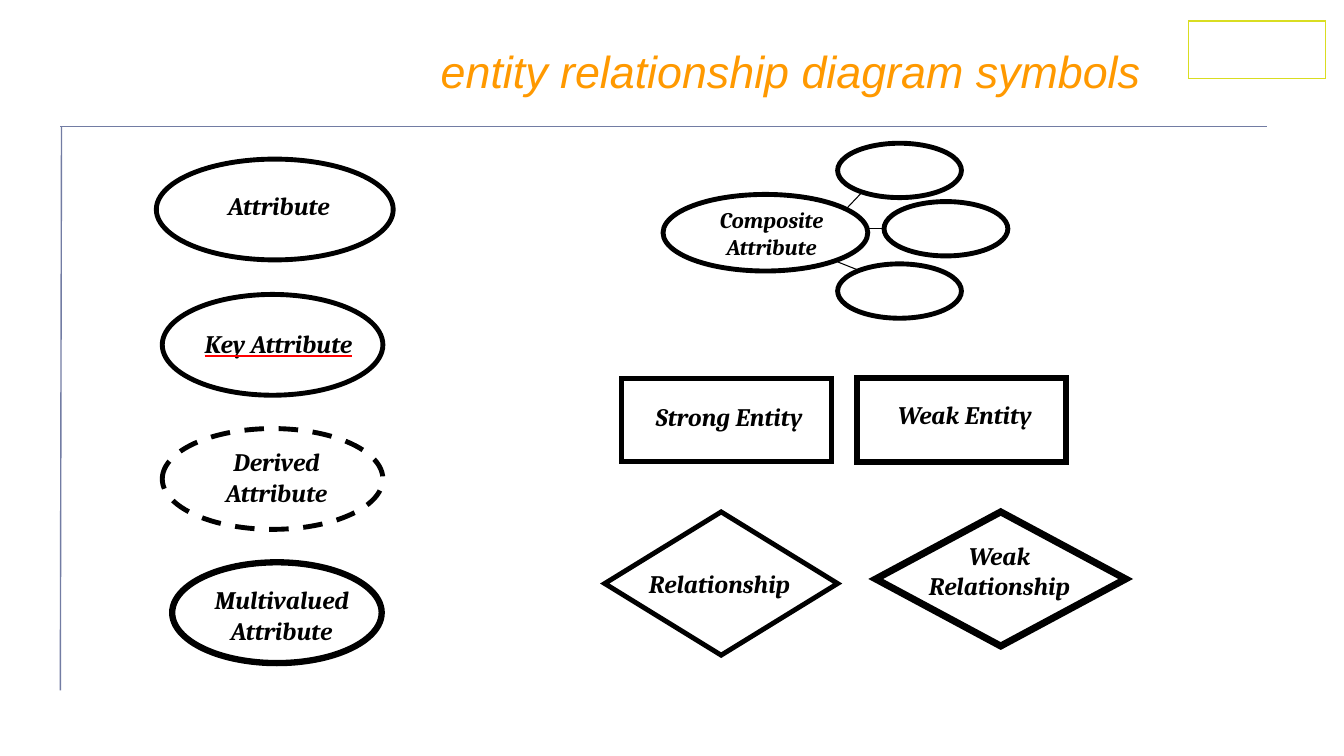
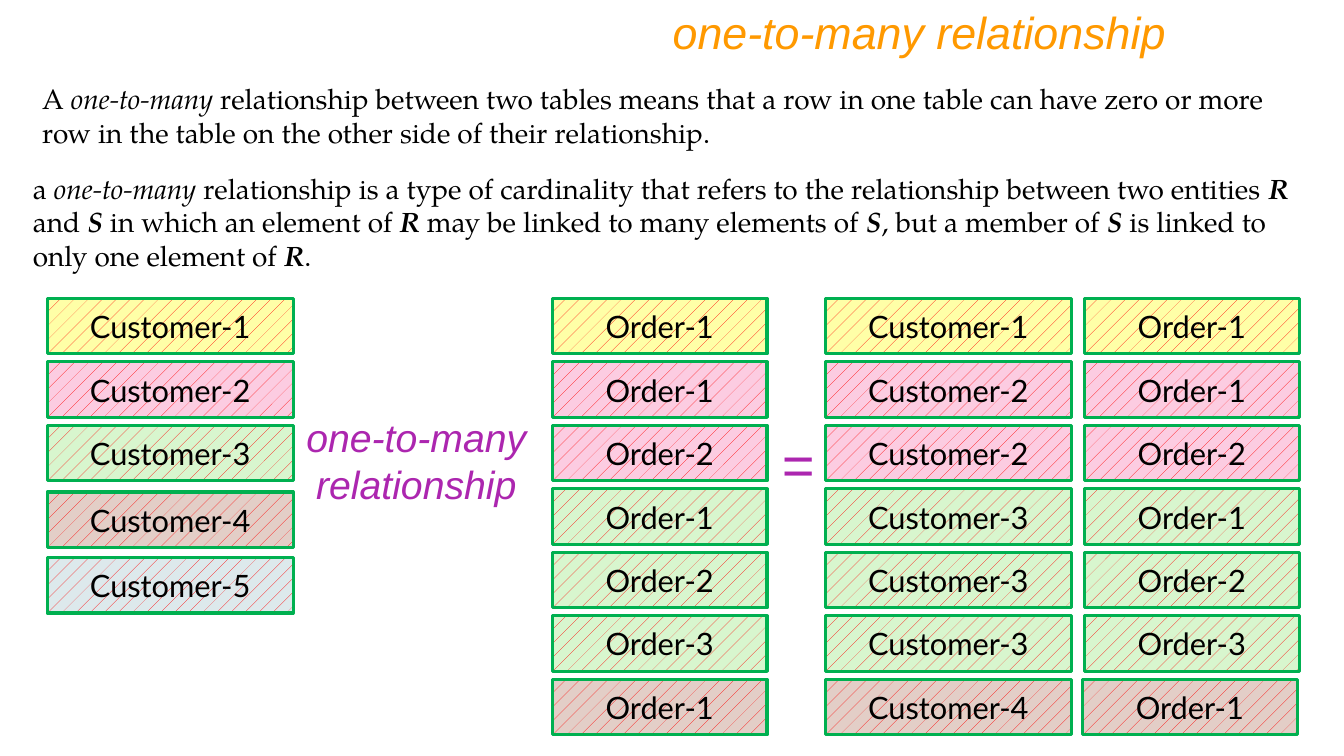
from lxml import etree
from pptx import Presentation
from pptx import util as u
from pptx.dml.color import RGBColor
from pptx.enum import dml, shapes, text
from pptx.oxml.ns import qn

COLORS = {
    "white": "FFFFFF",
    "black": "000000",
    "title": "FF9900",
    "frame": "727CA3",
    "badge": "D9DD21",
    "caption": "AC26AF",
    "border": "00B050",
    "hatch": "FF0000",
    "yellow": "FFFFA7",
    "pink": "FCCCE1",
    "green": "D8F6CE",
    "brown": "E3CEC7",
    "blue": "DDE9EC",
}
KIND = shapes.MSO_SHAPE
ALIGN = text.PP_ALIGN
SYMBOL_LINE = 3.5
ROW_TOP, ROW_STEP, ROW_HEIGHT = 7.52, 1.6, 1.4
CUSTOMER_WIDTH, ORDER_WIDTH = 6.2, 5.41


def rgb(name):
    return RGBColor.from_string(COLORS[name])


def place(*lengths):
    return [u.Cm(length) for length in lengths]


def add_span(para, words, size=18, font="Cambria", color="black", bold=False, italic=False,
             underline=None):
    span = para.add_run()
    span.text = words
    style = span.font
    style.size, style.name = u.Pt(size), font
    style.bold, style.italic = bold, italic
    style.color.rgb = rgb(color)
    if underline:
        style.underline = True
        line_fill = etree.Element(qn("a:uFill"))
        solid = etree.SubElement(line_fill, qn("a:solidFill"))
        etree.SubElement(solid, qn("a:srgbClr"), val=COLORS[underline])
        span._r.rPr.find(qn("a:latin")).addprevious(line_fill)


def add_text(page, area, spans, align=ALIGN.LEFT, after=0, **style):
    box = page.shapes.add_textbox(*place(*area))
    frame = box.text_frame
    frame.word_wrap = True
    frame.auto_size = text.MSO_AUTO_SIZE.SHAPE_TO_FIT_TEXT
    para = frame.paragraphs[0]
    para.alignment = align
    para.space_after = u.Pt(after)
    for words, marks in [(spans, {})] if isinstance(spans, str) else spans:
        add_span(para, words, **{**style, **marks})


def add_title(page, area, words):
    add_text(page, area, words, align=ALIGN.RIGHT, size=32, font="Arial", color="title",
             italic=True)


def add_outline(page, kind, area, line="black", width=SYMBOL_LINE, dashed=False):
    shape = page.shapes.add_shape(kind, *place(*area))
    shape.shadow.inherit = False
    shape.fill.solid()
    shape.fill.fore_color.rgb = rgb("white")
    shape.line.color.rgb = rgb(line)
    shape.line.width = u.Pt(width)
    if dashed:
        shape.line.dash_style = dml.MSO_LINE.DASH
    etree.SubElement(shape.line._get_or_add_ln(), qn("a:miter"), lim="800000")


def add_symbol(page, kind, area, words, label_area, size=18, underline=None, **outline):
    add_outline(page, kind, area, **outline)
    add_text(page, label_area, words, align=ALIGN.CENTER, after=10, size=size, bold=True,
             italic=True, underline=underline)


def add_line(page, ends, color="black", width=0.75):
    line = page.shapes.add_connector(shapes.MSO_CONNECTOR.STRAIGHT, *place(*ends))
    line.line.color.rgb = rgb(color)
    line.line.width = u.Pt(width)
    etree.SubElement(line._element.spPr, qn("a:effectLst"))


def add_record(page, area, words, color):
    record = page.shapes.add_shape(KIND.RECTANGLE, *place(*area))
    record.shadow.inherit = False
    record.fill.patterned()
    record.fill.pattern = dml.MSO_PATTERN.PERCENT_5
    record.fill.fore_color.rgb = rgb("hatch")
    record.fill.back_color.rgb = rgb(color)
    record.line.color.rgb = rgb("border")
    record.line.width = u.Pt(2.25)
    frame = record.text_frame
    frame.vertical_anchor = text.MSO_ANCHOR.MIDDLE
    para = frame.paragraphs[0]
    para.alignment = ALIGN.CENTER
    add_span(para, words, size=22, font="Lato")


def add_records(page, left, width, prefix, records):
    for row, (number, color, *shift) in enumerate(records):
        right, down = shift or (0, 0)
        area = (left + right, ROW_TOP + row * ROW_STEP + down, width, ROW_HEIGHT)
        add_record(page, area, f"{prefix}-{number}", color)


def build_symbols(page):
    add_title(page, (4.88, 0.97, 24.13, 1.63), "entity relationship diagram symbols")
    add_symbol(page, KIND.OVAL, (3.94, 4.01, 5.97, 2.54), "Attribute", (5.05, 4.67, 3.96, 1.02))
    add_symbol(page, KIND.OVAL, (4.09, 7.42, 5.56, 2.54), "Key Attribute",
               (4.72, 8.15, 4.6, 1.02), underline="hatch")
    add_symbol(page, KIND.OVAL, (4.09, 10.8, 5.56, 2.54), "Derived Attribute",
               (5.13, 11.13, 3.68, 1.8), dashed=True)
    add_symbol(page, KIND.OVAL, (4.34, 14.17, 5.28, 2.54), "Multivalued Attribute",
               (5.08, 14.61, 4.04, 1.8), width=4.5)
    add_symbol(page, KIND.OVAL, (16.71, 4.9, 5.16, 1.93), "Composite Attribute",
               (17.73, 5.08, 3.43, 1.63), size=16)
    for left, top in ((21.11, 3.61), (22.28, 5.08), (21.11, 6.65)):
        add_outline(page, KIND.OVAL, (left, top, 3.12, 1.37))
    for ends in ((21.31, 5.28, 21.69, 4.88), (21.84, 5.77, 22.23, 5.77),
                 (21.69, 6.83, 21.11, 6.6)):
        add_line(page, ends)
    add_symbol(page, KIND.RECTANGLE, (15.67, 9.53, 5.28, 2.11), "Strong Entity",
               (16, 9.98, 4.75, 1.02))
    add_symbol(page, KIND.RECTANGLE, (21.59, 9.53, 5.28, 2.11), "Weak Entity",
               (22.17, 9.93, 4.29, 1.02), width=4.5)
    add_symbol(page, KIND.FLOWCHART_DECISION, (15.24, 12.9, 5.87, 3.61), "Relationship",
               (15.57, 14.2, 5.13, 0.89))
    add_symbol(page, KIND.FLOWCHART_DECISION, (22.07, 12.9, 6.3, 3.38), "Weak Relationship",
               (22.5, 13.49, 5.38, 1.55), width=5)
    for ends in ((1.55, 3.18, 1.52, 17.4), (1.52, 3.18, 31.93, 3.18)):
        add_line(page, ends, color="frame", width=1)
    add_outline(page, KIND.RECTANGLE, (29.95, 0.53, 3.45, 1.45), line="badge", width=0.75)


def build_one_to_many(page):
    plain, term = {}, {"italic": True}
    entity = {"bold": True, "italic": True}
    prose = {"size": 20, "font": "TeX Gyre Pagella"}
    add_title(page, (4.24, 0, 25.4, 1.63), "one-to-many relationship")
    add_text(page, (0.81, 1.93, 31.52, 1.96), [
        ("A ", plain), ("one-to-many", term),
        (" relationship between two tables means that a row in one table can have zero or more "
         "row in the table on the other side of their relationship.", plain),
    ], **prose)
    add_text(page, (0.58, 4.19, 32.72, 2.82), [
        ("a ", plain), ("one-to-many", term),
        (" relationship is a type of cardinality that refers to the relationship between two "
         "entities ", plain), ("R", entity),
        (" and ", plain), ("S", entity),
        (" in which an element of ", plain), ("R", entity),
        (" may be linked to many elements of ", plain), ("S", entity),
        (", but a member of ", plain), ("S", entity),
        (" is linked to only one element of ", plain), ("R", entity), (".", plain),
    ], **prose)

    caption = {"align": ALIGN.CENTER, "font": "Arial", "color": "caption", "italic": True}
    add_text(page, (7.39, 10.29, 6.2, 2.64), "one-to-many relationship", size=28, **caption)
    add_text(page, (19.41, 10.69, 1.4, 1.96), "=", size=40, **caption)

    orders = [(1, "yellow"), (1, "pink"), (2, "pink"), (1, "green"), (2, "green"),
              (3, "green"), (1, "brown")]
    customers = [(1, "yellow"), (2, "pink"), (3, "green"), (4, "brown", 0, 0.08),
                 (5, "blue", 0, 0.13)]
    joined = [(1, "yellow"), (2, "pink"), (2, "pink"), (3, "green"), (3, "green"),
              (3, "green"), (4, "brown")]
    add_records(page, 1.19, CUSTOMER_WIDTH, "Customer", customers)
    add_records(page, 13.92, ORDER_WIDTH, "Order", orders)
    add_records(page, 20.8, CUSTOMER_WIDTH, "Customer", joined)
    add_records(page, 27.33, ORDER_WIDTH, "Order", orders[:-1] + [(1, "brown", -0.05, 0)])


def main():
    deck = Presentation()
    deck.slide_width, deck.slide_height = place(33.87, 19.05)
    for build in (build_symbols, build_one_to_many):
        build(deck.slides.add_slide(deck.slide_layouts[6]))
    deck.save("out.pptx")


if __name__ == "__main__":
    main()
